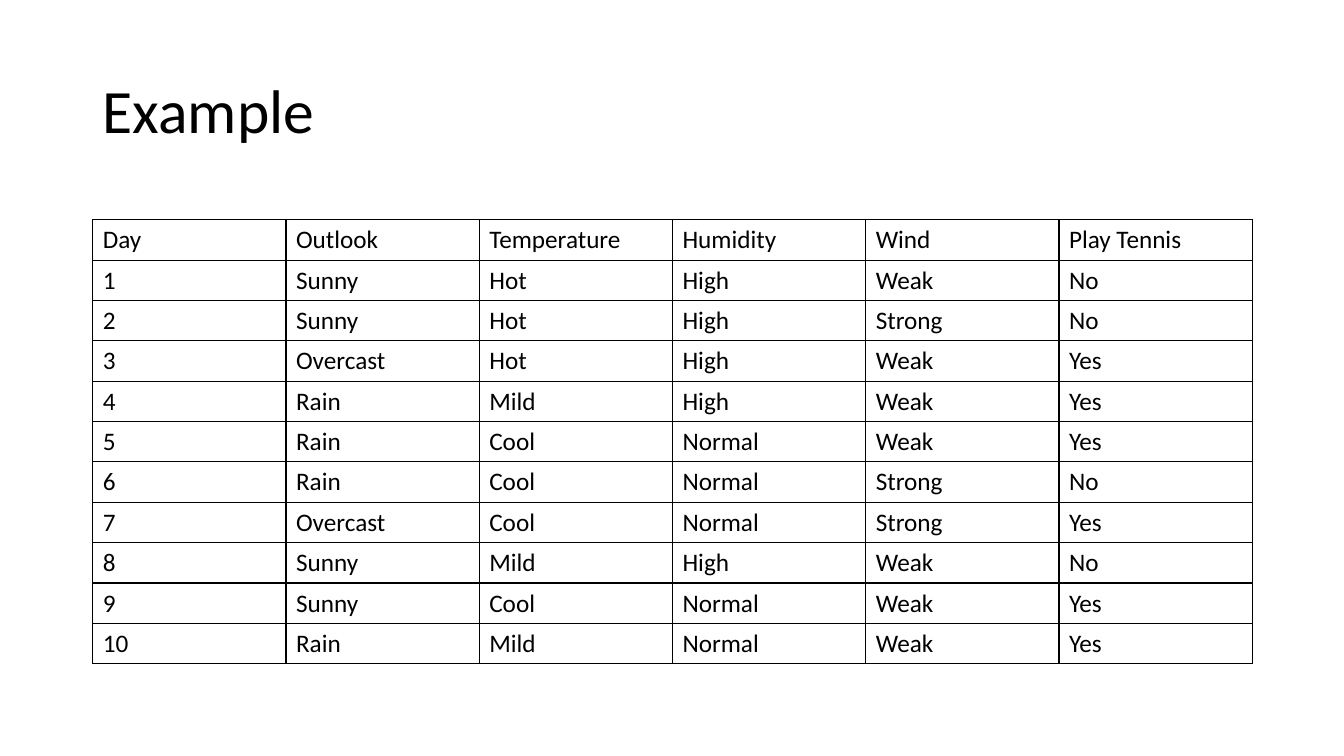
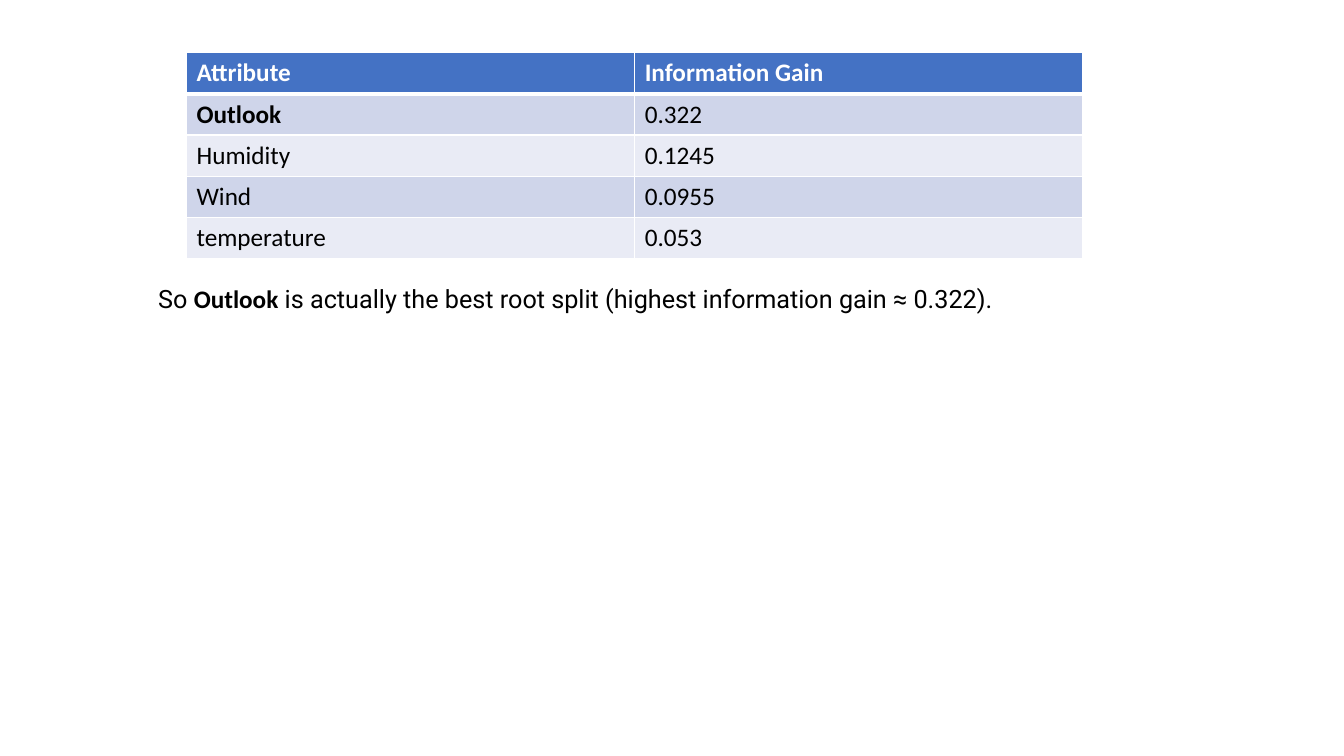
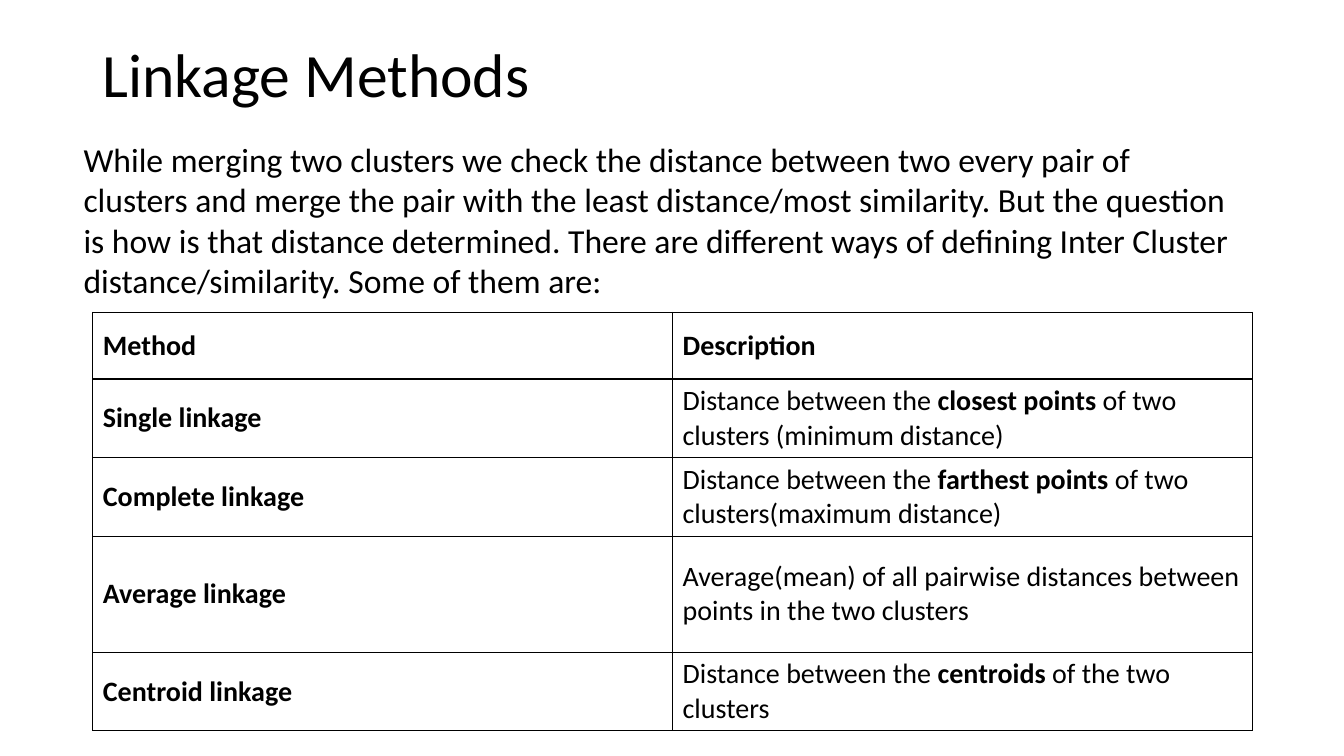
from lxml import etree
from pptx import Presentation
from pptx import util as u
from pptx.dml.color import RGBColor
from pptx.enum import text
from pptx.oxml.ns import qn

HUE = {"ink": "000000", "white": "FFFFFF", "head": "4472C4",
       "dark": "CFD5EA", "light": "E9EBF5"}
FONT = "Calibri"
LEFT, WIDE = 0.92, 11.5

DAYS = """Day Outlook Temperature Humidity Wind Play_Tennis
1 Sunny Hot High Weak No
2 Sunny Hot High Strong No
3 Overcast Hot High Weak Yes
4 Rain Mild High Weak Yes
5 Rain Cool Normal Weak Yes
6 Rain Cool Normal Strong No
7 Overcast Cool Normal Strong Yes
8 Sunny Mild High Weak No
9 Sunny Cool Normal Weak Yes
10 Rain Mild Normal Weak Yes"""

GAINS = [
    ("*Attribute*", "*Information Gain*"),
    ("*Outlook*", "0.322"),
    ("Humidity", "0.1245"),
    ("Wind", "0.0955"),
    ("temperature", "0.053"),
]

LINKS = [
    ("*Method*", "*Description*"),
    ("*Single linkage*",
     "Distance between the *closest points* of two clusters (minimum distance)"),
    ("*Complete linkage*",
     "Distance between the *farthest points* of two clusters(maximum distance)"),
    ("*Average linkage*",
     "Average(mean) of all pairwise distances between points in the two clusters"),
    ("*Centroid linkage*",
     "Distance between the *centroids* of the two clusters"),
]

INTRO = ("While merging two clusters we check the distance between two every pair "
         "of clusters and merge the pair with the least distance/most similarity. "
         "But the question is how is that distance determined. There are different "
         "ways of defining Inter Cluster distance/similarity. Some of them are:")


def rgb(name):
    return RGBColor.from_string(HUE[name])


def write(para, words, size, hue="ink", font=FONT):
    for i, part in enumerate(words.split("*")):
        if part:
            run = para.add_run()
            run.text = part
            run.font.size = u.Pt(size)
            run.font.bold = i % 2 == 1
            run.font.name = FONT if run.font.bold else font
            run.font.color.rgb = rgb(hue)


def label(slide, box, words, size, font=FONT):
    frame = slide.shapes.add_textbox(*map(u.Inches, box)).text_frame
    frame.word_wrap = True
    write(frame.paragraphs[0], words, size, font=font)
    return frame


def title(slide, words, high):
    frame = label(slide, (LEFT, 0.4, WIDE, high), words, 44)
    frame.vertical_anchor = text.MSO_ANCHOR.MIDDLE
    frame.paragraphs[0].line_spacing = 0.9


def edge(cell, hue, base):
    props = cell._tc.get_or_add_tcPr()
    for side in "LRTB":
        width = base if side == "B" else 1
        line = etree.SubElement(props, qn(f"a:ln{side}"), w=str(u.Pt(width)))
        fill = etree.SubElement(line, qn("a:solidFill"))
        etree.SubElement(fill, qn("a:srgbClr"), val=HUE[hue])


def grid(slide, spot, wide, highs, rows, size, banded=False):
    cols = len(rows[0])
    box = (*spot, wide, sum(highs))
    table = slide.shapes.add_table(len(rows), cols, *map(u.Inches, box)).table
    table.first_row = table.horz_banding = False
    for col in table.columns:
        col.width = u.Inches(wide / cols)
    for r, row in enumerate(rows):
        table.rows[r].height = u.Inches(highs[r])
        top = banded and r == 0
        for c, words in enumerate(row):
            cell = table.cell(r, c)
            cell.vertical_anchor = text.MSO_ANCHOR.MIDDLE
            edge(cell, "white" if banded else "ink", 3 if top else 1)
            if banded:
                cell.fill.solid()
                band = "dark" if r % 2 else "light"
                cell.fill.fore_color.rgb = rgb("head" if top else band)
            else:
                cell.fill.background()
            write(cell.text_frame.paragraphs[0], words, size,
                  "white" if top else "ink")


def main():
    deck = Presentation()
    deck.slide_width, deck.slide_height = u.Inches(13.33), u.Inches(7.5)
    days, gain, link = (deck.slides.add_slide(deck.slide_layouts[6])
                        for _ in range(3))

    title(days, "Example", 1.45)
    rows = [[word.replace("_", " ") for word in line.split()]
            for line in DAYS.splitlines()]
    grid(days, (LEFT, 2.18), WIDE, [0.4] * len(rows), rows, 18)

    grid(gain, (1.85, 0.52), 8.89, [0.41] * len(GAINS), GAINS, 18, True)
    label(gain, (1.47, 2.76, 11.25, 0.4),
          "So *Outlook* is actually the best root split "
          "(highest information gain ≈ 0.322).", 18, "Roboto")

    title(link, "Linkage Methods", 0.73)
    grid(link, (LEFT, 3.1), WIDE, [0.66, 0.78, 0.78, 1.15, 0.78], LINKS, 20)
    label(link, (0.73, 1.33, 11.68, 1.72), INTRO, 24)

    deck.save("out.pptx")


if __name__ == "__main__":
    main()
